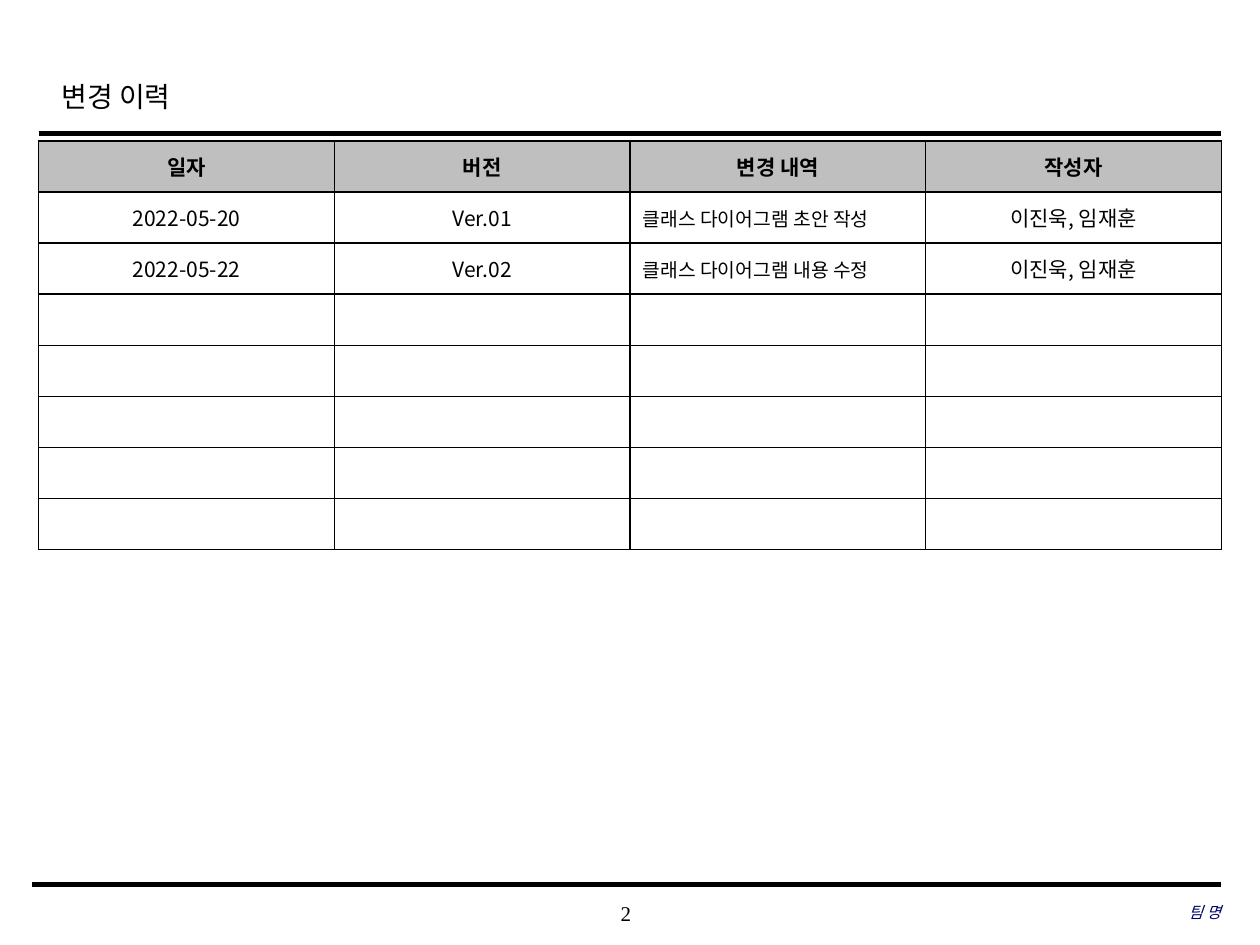
from lxml import etree
from pptx import Presentation
from pptx.dml.color import RGBColor
from pptx.enum.shapes import MSO_CONNECTOR
from pptx.enum.text import MSO_ANCHOR, PP_ALIGN
from pptx.oxml.ns import qn
from pptx.util import Cm, Pt

LEFT, CENTER, RIGHT = PP_ALIGN.LEFT, PP_ALIGN.CENTER, PP_ALIGN.RIGHT
MIDDLE = MSO_ANCHOR.MIDDLE
STRAIGHT = MSO_CONNECTOR.STRAIGHT
SANS, SERIF = "Noto Sans CJK KR", "Times New Roman"
BLACK, WHITE, GRAY, NAVY = "000000", "FFFFFF", "BFBFBF", "000066"

HISTORY = [
    ["일자", "버전", "변경 내역", "작성자"],
    ["2022-05-20", "Ver.01", "클래스 다이어그램 초안 작성", "이진욱, 임재훈"],
    ["2022-05-22", "Ver.02", "클래스 다이어그램 내용 수정", "이진욱, 임재훈"],
]
ROWS, COLS = 8, 4
NOTE_COL = 2
ROW_H, COL_W = 1.03, 5.96


def color(value):
    return RGBColor.from_string(value)


def write(tf, text, size, font=SERIF, fill=BLACK, align=LEFT, bold=False, italic=False):
    p = tf.paragraphs[0]
    p.text = text
    p.alignment = align
    f = p.font
    f.name, f.size, f.bold, f.italic = font, Pt(size), bold, italic
    f.color.rgb = color(fill)
    # Hangul takes the East Asian typeface
    ea = etree.Element(qn("a:ea"), typeface=SANS)
    p._p.pPr.find(qn("a:defRPr")).find(qn("a:latin")).addnext(ea)
    return p


def add_title(s, text):
    sp = s.shapes.title
    sp.left, sp.top, sp.width, sp.height = Cm(0.99), Cm(1.24), Cm(19.18), Cm(1.27)
    sp.text_frame.vertical_anchor = MIDDLE
    write(sp.text_frame, text, 16).line_spacing = 1.2


def add_rule(s, x1, x2, y, weight):
    line = s.shapes.add_connector(STRAIGHT, Cm(x1), Cm(y), Cm(x2), Cm(y))
    line.line.color.rgb = color(BLACK)
    line.line.width = Pt(weight)
    etree.SubElement(line._element.spPr, qn("a:effectLst"))


def add_footer(s, text, x, y, width, size, **style):
    tf = s.shapes.add_textbox(Cm(x), Cm(y), Cm(width), Cm(0.84)).text_frame
    tf.word_wrap = True
    tf.margin_left = tf.margin_right = tf.margin_top = tf.margin_bottom = 0
    tf.vertical_anchor = MIDDLE
    write(tf, text, size, **style)


def add_borders(cell):
    tcPr = cell._tc.get_or_add_tcPr()
    for i, side in enumerate(("a:lnL", "a:lnR", "a:lnT", "a:lnB")):
        ln = etree.Element(qn(side), w=str(Pt(1)))
        fill = etree.SubElement(ln, qn("a:solidFill"))
        etree.SubElement(fill, qn("a:srgbClr"), val=BLACK)
        tcPr.insert(i, ln)


def add_history(s, x, y):
    table = s.shapes.add_table(ROWS, COLS, Cm(x), Cm(y),
                               Cm(COLS * COL_W), Cm(ROWS * ROW_H)).table
    for col in table.columns:
        col.width = Cm(COL_W)
    for r, row in enumerate(table.rows):
        row.height = Cm(ROW_H)
        header = r == 0
        for c, cell in enumerate(row.cells):
            cell.fill.solid()
            cell.fill.fore_color.rgb = color(GRAY if header else WHITE)
            cell.vertical_anchor = MIDDLE
            cell.margin_top = cell.margin_bottom = 0
            add_borders(cell)
            if r < len(HISTORY):
                note = c == NOTE_COL and not header
                write(cell.text_frame, HISTORY[r][c], 11 if note else 12, SANS,
                      align=LEFT if note else CENTER, bold=header)


def main():
    prs = Presentation()
    prs.slide_width, prs.slide_height = Cm(25.4), Cm(19.05)
    s = prs.slides.add_slide(prs.slide_layouts[5])

    # Heading
    add_rule(s, 0.78, 24.61, 2.69, 2.5)
    add_title(s, "변경 이력")

    # Change history
    add_history(s, 0.78, 2.84)

    # Footer
    add_rule(s, 0.64, 24.61, 17.83, 3)
    add_footer(s, "2", 9.98, 17.98, 5.28, 12, align=CENTER)
    add_footer(s, "팀 명", 16.84, 17.96, 7.77, 9, fill=NAVY, align=RIGHT, italic=True)

    prs.save("out.pptx")


if __name__ == "__main__":
    main()
